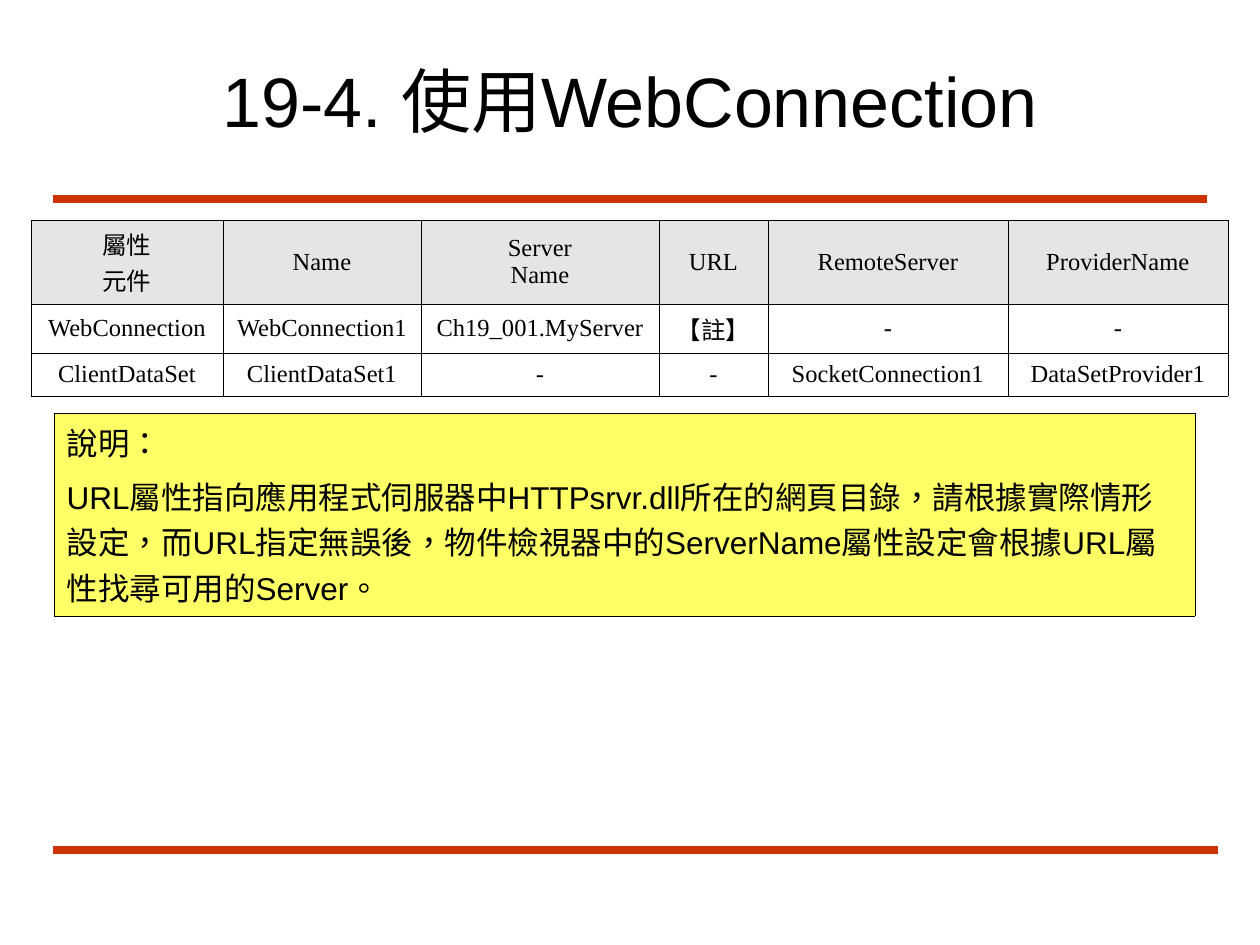
from dataclasses import dataclass

from lxml import etree
from pptx import Presentation
from pptx.dml.color import RGBColor
from pptx.enum import shapes, text
from pptx.oxml import ns
from pptx.util import Emu, Pt

SCALE = 914400 / 126
BLACK, RED, GREY, YELLOW = "000000", "CC3300", "E5E5E5", "FFFF66"
SANS, SERIF, CJK = "Arial", "Times New Roman", "Noto Sans CJK TC"
THIN = 0.45
HANG = 47


@dataclass
class Rule:
    left: int
    right: int
    y: int


@dataclass
class Grid:
    left: int
    top: int
    cols: list[int]
    rows: list[int]
    cells: list[list[str]]
    fills: list[str | None]


RULES = [Rule(53, 1207, 199), Rule(53, 1218, 850)]

PROPS = Grid(
    31, 220, [192, 198, 238, 109, 240, 220], [84, 49, 43],
    [
        ["屬性\n元件", "Name", "Server\nName", "URL", "RemoteServer", "ProviderName"],
        ["WebConnection", "WebConnection1", "Ch19_001.MyServer", "【註】", "-", "-"],
        ["ClientDataSet", "ClientDataSet1", "-", "-", "SocketConnection1", "DataSetProvider1"],
    ],
    [GREY, None, None],
)

NOTE = Grid(
    54, 413, [1141], [203],
    [["說明：\nURL屬性指向應用程式伺服器中HTTPsrvr.dll所在的網頁目錄，請根據實際情形設定，"
      "而URL指定無誤後，物件檢視器中的ServerName屬性設定會根據URL屬性找尋可用的Server。"]],
    [YELLOW],
)


def px(n: int) -> Emu:
    return Emu(round(n * SCALE))


def color(code: str) -> RGBColor:
    return RGBColor.from_string(code)


def add_run(para, words: str, size: int, face: str) -> None:
    run = para.add_run()
    run.text = words
    run.font.size = Pt(size)
    run.font.name = face
    run.font.color.rgb = color(BLACK)
    # East Asian letters take their own face and regional forms
    props = run._r.get_or_add_rPr()
    props.set("lang", "zh-TW")
    etree.SubElement(props, ns.qn("a:ea"), typeface=CJK)


def add_rule(slide, rule: Rule) -> None:
    line = slide.shapes.add_connector(
        shapes.MSO_CONNECTOR.STRAIGHT,
        px(rule.left), px(rule.y), px(rule.right), px(rule.y))
    line.line.color.rgb = color(RED)
    line.line.width = Pt(4.5)
    etree.SubElement(line._element.spPr, ns.qn("a:effectLst"))


def add_title(slide, words: str) -> None:
    box = slide.shapes.add_textbox(px(210), px(42), px(955), px(116))
    frame = box.text_frame
    frame.word_wrap = True
    frame.vertical_anchor = text.MSO_ANCHOR.MIDDLE
    add_run(frame.paragraphs[0], words, 40, SANS)


def add_border(cell, side: str) -> None:
    props = cell._tc.get_or_add_tcPr()
    line = etree.SubElement(props, ns.qn(f"a:ln{side}"), w=str(Pt(THIN)))
    fill = etree.SubElement(line, ns.qn("a:solidFill"))
    etree.SubElement(fill, ns.qn("a:srgbClr"), val=BLACK)


def add_grid(slide, grid: Grid):
    rows, cols = len(grid.rows), len(grid.cols)
    table = slide.shapes.add_table(
        rows, cols, px(grid.left), px(grid.top),
        px(sum(grid.cols)), px(sum(grid.rows))).table
    table.first_row = table.horz_banding = False
    for col, width in zip(table.columns, grid.cols):
        col.width = px(width)
    for row, height, shade in zip(table.rows, grid.rows, grid.fills):
        row.height = px(height)
        for cell in row.cells:
            for side in "LRTB":
                add_border(cell, side)
            if shade:
                cell.fill.solid()
                cell.fill.fore_color.rgb = color(shade)
            else:
                cell.fill.background()
    return table


def add_props(slide) -> None:
    table = add_grid(slide, PROPS)
    for r, row in enumerate(PROPS.cells):
        for c, words in enumerate(row):
            cell = table.cell(r, c)
            cell.vertical_anchor = text.MSO_ANCHOR.MIDDLE
            face = SERIF if words.isascii() else CJK
            frame = cell.text_frame
            for i, part in enumerate(words.split("\n")):
                para = frame.add_paragraph() if i else frame.paragraphs[0]
                para.alignment = text.PP_ALIGN.CENTER
                props = para._p.get_or_add_pPr()
                props.set("marL", str(px(HANG)))
                props.set("indent", str(px(-HANG)))
                add_run(para, part, 14, face)


def add_note(slide) -> None:
    frame = add_grid(slide, NOTE).cell(0, 0).text_frame
    for i, part in enumerate(NOTE.cells[0][0].split("\n")):
        para = frame.add_paragraph() if i else frame.paragraphs[0]
        if i:
            para.space_before = Pt(4.5)
        add_run(para, part, 18, SANS)


def main() -> None:
    deck = Presentation()
    deck.slide_width, deck.slide_height = px(1260), px(945)
    slide = deck.slides.add_slide(deck.slide_layouts[6])

    # Rules and heading
    for rule in RULES:
        add_rule(slide, rule)
    add_title(slide, "19-4. 使用WebConnection")

    # Property table and the note below it
    add_props(slide)
    add_note(slide)
    deck.save("out.pptx")


if __name__ == "__main__":
    main()
